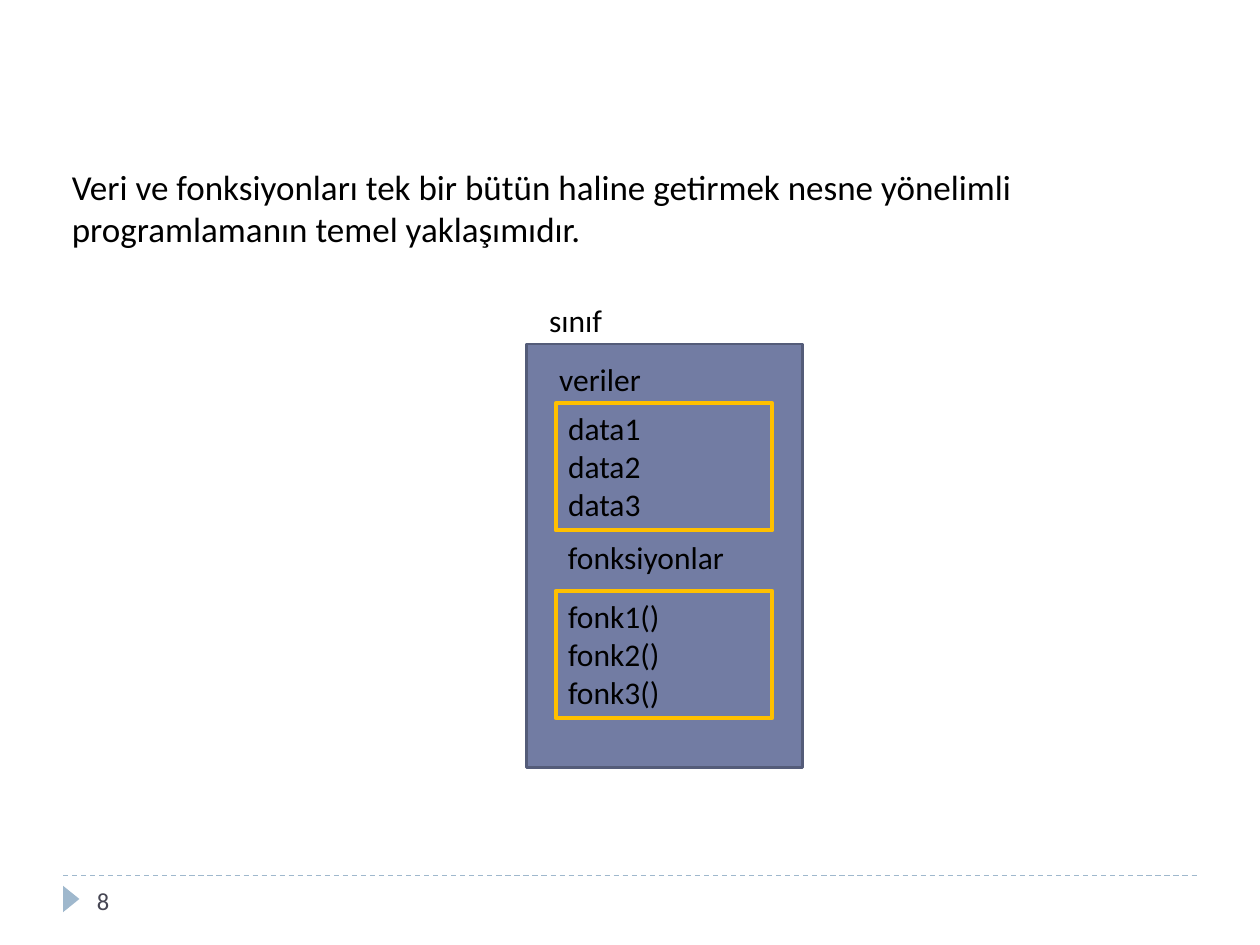
from lxml import etree
from pptx import Presentation
from pptx.dml.color import RGBColor
from pptx.enum.dml import MSO_LINE
from pptx.enum.shapes import MSO_CONNECTOR, MSO_SHAPE
from pptx.enum.text import MSO_ANCHOR, MSO_AUTO_SIZE, PP_ALIGN
from pptx.oxml.ns import qn
from pptx.util import Pt

RECTANGLE = MSO_SHAPE.RECTANGLE
TRIANGLE = MSO_SHAPE.ISOSCELES_TRIANGLE
STRAIGHT = MSO_CONNECTOR.STRAIGHT
DASH = MSO_LINE.DASH
TOP, MIDDLE = MSO_ANCHOR.TOP, MSO_ANCHOR.MIDDLE
GROW, FIXED = MSO_AUTO_SIZE.SHAPE_TO_FIT_TEXT, MSO_AUTO_SIZE.NONE
LEFT = PP_ALIGN.LEFT

COLORS = {
    "text": "000000",
    "number": "464653",
    "footer": "9FB8CD",
    "class": "727CA3",
    "class_border": "545C79",
    "member_border": "FFC000",
}


def color(key):
    return RGBColor.from_string(COLORS[key])


def points(*lengths):
    return [Pt(length) for length in lengths]


def apply_format(target, values):
    for name, value in values.items():
        setattr(target, name, value)


def write_lines(holder, lines, size=18, tone="text", anchor=TOP, fit=GROW):
    frame = holder.text_frame
    frame.text = "\n".join(lines)
    apply_format(frame, {"word_wrap": True, "auto_size": fit, "vertical_anchor": anchor})
    for paragraph in frame.paragraphs:
        apply_format(paragraph, {"alignment": LEFT, "space_before": Pt(0)})
        apply_format(paragraph.font, {"name": "Calibri", "size": Pt(size)})
        paragraph.font.color.rgb = color(tone)


def add_label(shapes, bounds, caption, **style):
    label = shapes.add_textbox(*points(*bounds))
    write_lines(label, [caption], **style)


def add_figure(shapes, kind, bounds, fill=None, border=None, weight=0):
    figure = shapes.add_shape(kind, *points(*bounds))
    figure.shadow.inherit = False
    if fill:
        figure.fill.solid()
        figure.fill.fore_color.rgb = color(fill)
    else:
        figure.fill.background()
    if border:
        figure.line.color.rgb = color(border)
        figure.line.width = Pt(weight)
    else:
        figure.line.fill.background()
    return figure


def add_statement(slide, statement):
    title, body = slide.placeholders
    title.element.getparent().remove(title.element)
    bounds = points(33.84, 90.72, 635.76, 79.92)
    apply_format(body, dict(zip(("left", "top", "width", "height"), bounds)))
    write_lines(body, [statement], size=20)
    properties = body.text_frame.paragraphs[0]._p.get_or_add_pPr()
    properties.set("marL", "0")
    properties.set("indent", "0")
    etree.SubElement(properties, qn("a:buNone"))


def add_class_diagram(slide):
    diagram = slide.shapes.add_group_shape().shapes
    add_figure(diagram, RECTANGLE, (300.96, 196.56, 157.68, 241.92),
               "class", "class_border", 1.5)
    members = (
        (230.4, ("data1", "data2", "data3")),
        (337.68, ("fonk1()", "fonk2()", "fonk3()")),
    )
    for top, names in members:
        box = add_figure(diagram, RECTANGLE, (317.52, top, 123.84, 72.72),
                         border="member_border", weight=2.25)
        write_lines(box, names)
    captions = (
        (312.48, 202.32, "veriler"),
        (317.52, 303.84, "fonksiyonlar"),
        (306.72, 168.48, "sınıf"),
    )
    for left, top, caption in captions:
        add_label(diagram, (left, top, 118.08, 28.8), caption)


def add_footer(slide, number):
    rule = slide.shapes.add_connector(STRAIGHT, *points(36, 500.4, 684, 500.4))
    rule.line.color.rgb = color("footer")
    apply_format(rule.line, {"width": Pt(0.75), "dash_style": DASH})
    etree.SubElement(rule.element.spPr, qn("a:effectLst"))
    marker = add_figure(slide.shapes, TRIANGLE, (33.12, 509.04, 15.12, 9.36), "footer")
    marker.rotation = 90
    add_label(slide.shapes, (48.24, 500.4, 156.24, 28.8), number,
              size=14, tone="number", anchor=MIDDLE, fit=FIXED)


def main():
    deck = Presentation()
    apply_format(deck, {"slide_width": Pt(720), "slide_height": Pt(540)})
    slide = deck.slides.add_slide(deck.slide_layouts[1])
    add_statement(slide, "Veri ve fonksiyonları tek bir bütün haline getirmek "
                         "nesne yönelimli programlamanın temel yaklaşımıdır.")
    add_class_diagram(slide)
    add_footer(slide, "8")
    deck.save("out.pptx")


main()
